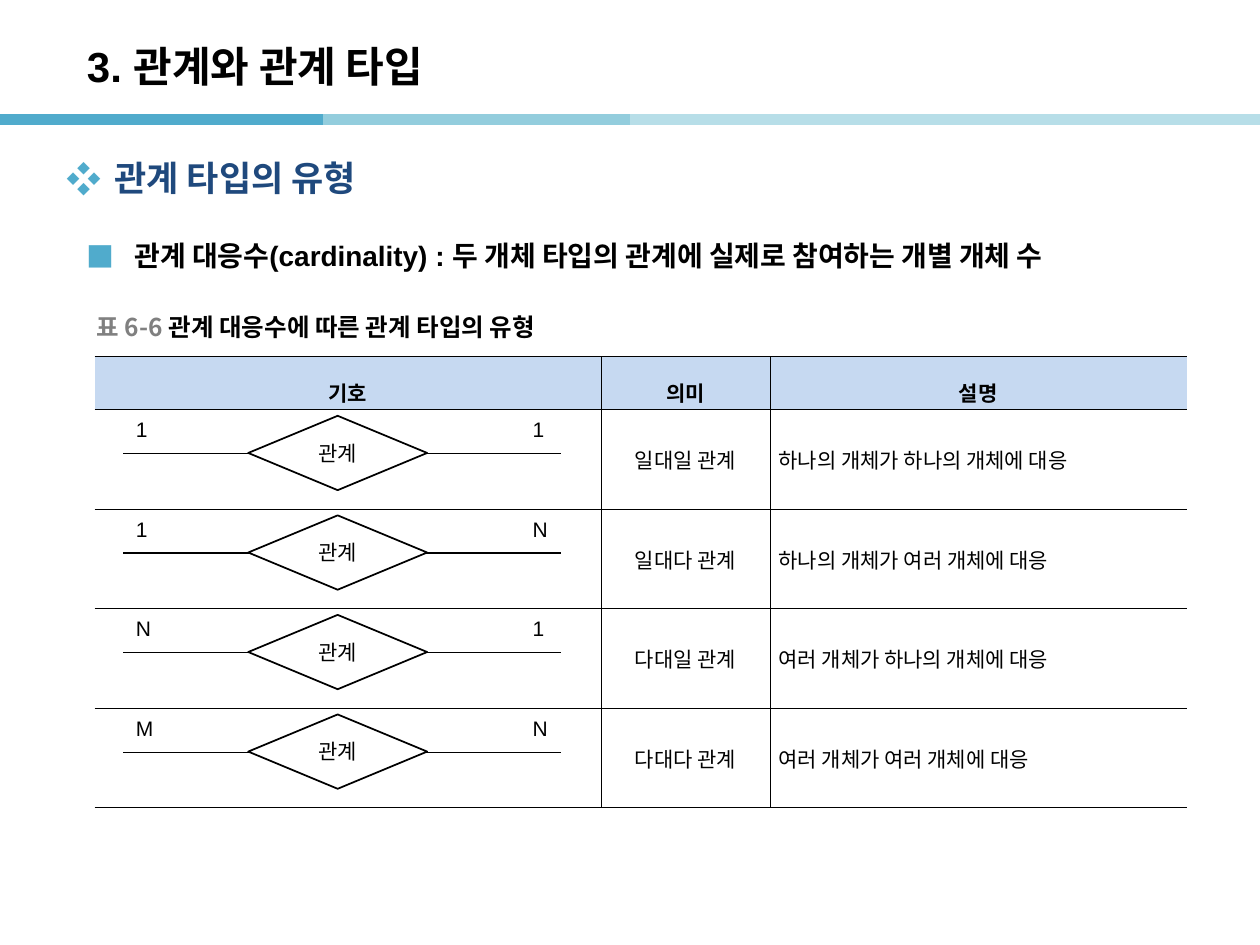
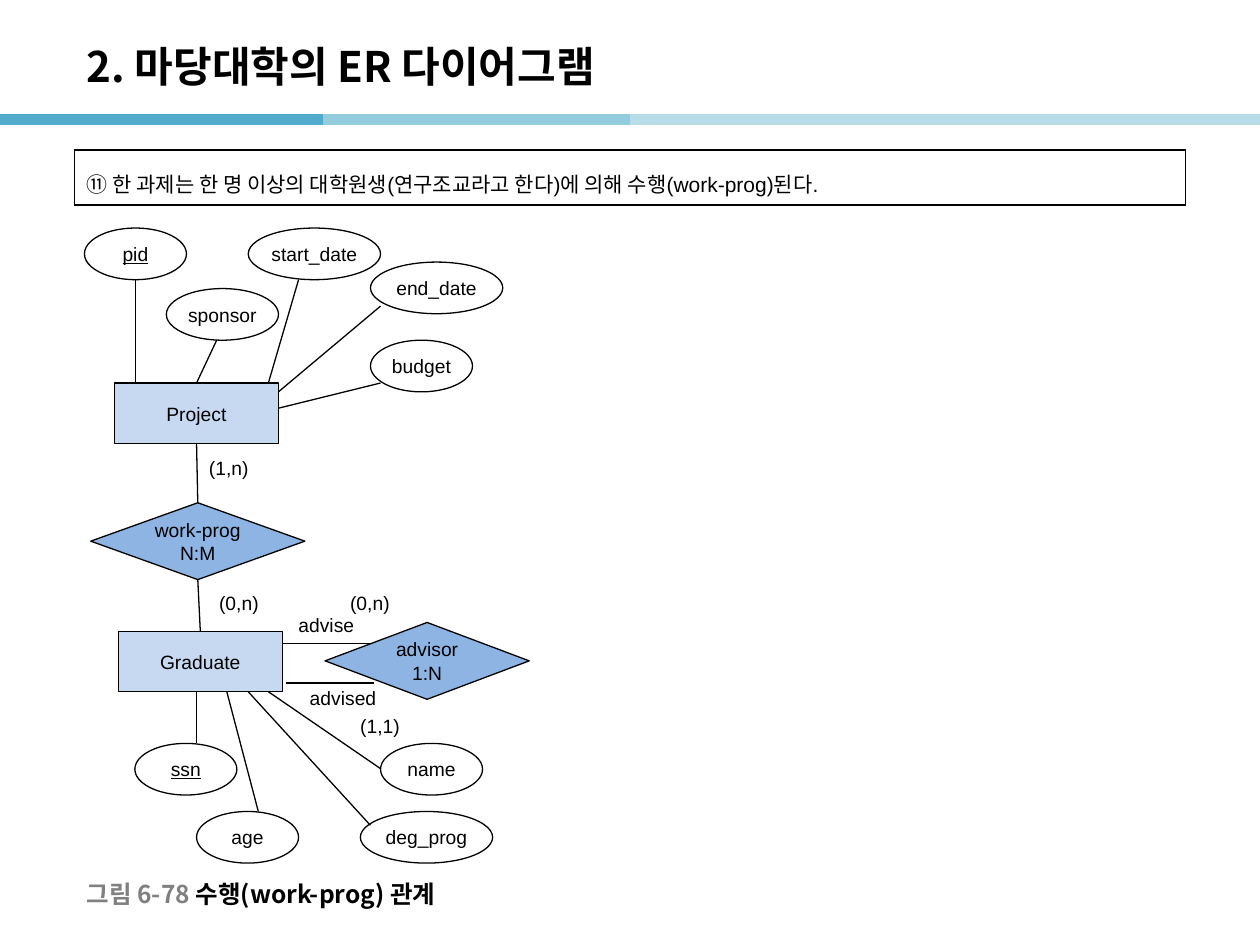
from dataclasses import dataclass

import pptx
import pptx.dml.color
import pptx.enum.shapes
import pptx.enum.text
import pptx.oxml.ns
import pptx.util
from lxml import etree

SHAPE = pptx.enum.shapes.MSO_SHAPE
ALIGN = pptx.enum.text.PP_ALIGN
MIDDLE = pptx.enum.text.MSO_ANCHOR.MIDDLE

# Shared look; the slide is a grid of 100 columns by 75 rows
COLUMNS, ROWS = 100, 75
CELL = pptx.util.Inches(0.1)
LATIN, KOREAN = "Arial", "Noto Sans CJK KR"
BLACK, WHITE, GREY, NAVY = "000000", "FFFFFF", "808080", "1F497D"
ACCENT, PALE, MEDIUM = "50ABCC", "C6D9F1", "8EB4E3"
BANDS = [(0, 25.6, ACCENT), (25.6, 50, "93CDDD"), (50, COLUMNS, "B7DEE8")]


@dataclass
class Box:
    """A region of the grid, in columns and rows."""
    left: float
    top: float
    width: float
    height: float

    def inner(self, left, top, width, height):
        return Box(self.left + left, self.top + top, width, height)

    def lengths(self):
        return [cells(n) for n in (self.left, self.top, self.width, self.height)]


def cells(count):
    return pptx.util.Emu(round(count * CELL))


def colour(value):
    return pptx.dml.color.RGBColor.from_string(value)


def child(parent, tag, **attributes):
    return etree.SubElement(parent, pptx.oxml.ns.qn(tag), attributes)


def style_span(span, size, shade=BLACK, font=LATIN, bold=False, underline=False):
    span.font.size = pptx.util.Pt(size)
    span.font.bold = bold
    if underline:
        span.font.underline = True
    span.font.color.rgb = colour(shade)
    span.font.name = font
    child(span._r.get_or_add_rPr(), "a:ea", typeface=KOREAN)


def write(frame, text, size, align=ALIGN.LEFT, spacing=None, **style):
    frame.text = text
    for para in frame.paragraphs:
        para.alignment = align
        if spacing:
            para.line_spacing = spacing
        for span in para.runs:
            style_span(span, size, **style)


def add_text_box(page, box, text, size, **style):
    frame = page.shapes.add_textbox(*box.lengths()).text_frame
    frame.word_wrap = True
    write(frame, text, size, **style)
    return frame


def add_bullet_line(page, box, text, mark, size, **style):
    frame = add_text_box(page, box, text, size, bold=True, **style)
    properties = frame.paragraphs[0]._p.get_or_add_pPr()
    indent = cells(3.8)
    properties.set("marL", str(indent))
    properties.set("indent", str(-indent))
    child(child(properties, "a:buClr"), "a:srgbClr", val=ACCENT)
    child(properties, "a:buFont", typeface=KOREAN)
    child(properties, "a:buChar", char=mark)


def add_caption(page, box, number, text):
    frame = add_text_box(page, box, number + " ", 14, shade=GREY, font=KOREAN, bold=True)
    frame.vertical_anchor = MIDDLE
    span = frame.paragraphs[0].add_run()
    span.text = text
    style_span(span, 14, font=KOREAN, bold=True)


def add_line(page, box, start, end, shade=BLACK, weight=0.75):
    ends = [cells(n) for n in (box.left + start[0], box.top + start[1],
                               box.left + end[0], box.top + end[1])]
    line = page.shapes.add_connector(pptx.enum.shapes.MSO_CONNECTOR.STRAIGHT, *ends)
    line.line.color.rgb = colour(shade)
    line.line.width = pptx.util.Pt(weight)
    child(line._element.spPr, "a:effectLst")


def add_node(page, box, kind, text, size, fill=WHITE, weight=0.75, **style):
    node = page.shapes.add_shape(kind, *box.lengths())
    node.shadow.inherit = False
    node.fill.solid()
    node.fill.fore_color.rgb = colour(fill)
    node.line.color.rgb = colour(BLACK)
    node.line.width = pptx.util.Pt(weight)
    node.text_frame.word_wrap = False
    node.text_frame.vertical_anchor = MIDDLE
    write(node.text_frame, text, size, align=ALIGN.CENTER, **style)


def add_table(page, box, widths, heights):
    table = page.shapes.add_table(len(heights), len(widths), *box.lengths()).table
    table.first_row = table.horz_banding = False
    for column, width in zip(table.columns, widths):
        column.width = cells(width)
    for row, height in zip(table.rows, heights):
        row.height = cells(height)
    return table


def style_cell(cell, fill, sides, weight):
    properties = cell._tc.get_or_add_tcPr()
    for side in "LRTB":
        edge = child(properties, "a:ln" + side, w=str(pptx.util.Pt(weight)))
        if side in sides:
            child(child(edge, "a:solidFill"), "a:srgbClr", val=BLACK)
        else:
            child(edge, "a:noFill")
    cell.fill.solid()
    cell.fill.fore_color.rgb = colour(fill)
    cell.vertical_anchor = MIDDLE


def add_page(deck, title, font):
    """Title-only page with the coloured band under its title."""
    page = deck.slides.add_slide(deck.slide_layouts[5])
    for start, end, shade in BANDS:
        add_line(page, Box(0, 9.5, COLUMNS, 0), (start, 0), (end, 0), shade, 6)
    holder = page.shapes.title
    holder.left, holder.top, holder.width, holder.height = Box(5.9, 2.2, 82.7, 6).lengths()
    holder.text_frame.auto_size = pptx.enum.text.MSO_AUTO_SIZE.NONE
    holder.text_frame.vertical_anchor = MIDDLE
    write(holder.text_frame, title, 24, font=font, bold=True)
    return page


# Slide 1: relationship types by cardinality
RELATION_TYPES = [
    ("1", "1", "일대일 관계", "하나의 개체가 하나의 개체에 대응"),
    ("1", "N", "일대다 관계", "하나의 개체가 여러 개체에 대응"),
    ("N", "1", "다대일 관계", "여러 개체가 하나의 개체에 대응"),
    ("M", "N", "다대다 관계", "여러 개체가 여러 개체에 대응"),
]
HEADER_HEIGHT, TYPE_HEIGHT = 4.2, 7.9


def add_type_table(page, box):
    heights = [HEADER_HEIGHT] + [TYPE_HEIGHT] * len(RELATION_TYPES)
    table = add_table(page, box, [40.2, 13.4, 33.1], heights)
    rows = [("기호", "의미", "설명")]
    rows += [("", meaning, note) for _, _, meaning, note in RELATION_TYPES]
    for r, texts in enumerate(rows):
        header = r == 0
        for c, text in enumerate(texts):
            cell = table.cell(r, c)
            style_cell(cell, PALE if header else WHITE, ("RTB", "LRTB", "LTB")[c], 0.28)
            cell.margin_left = cell.margin_right = cells(0.7)
            cell.margin_top = cell.margin_bottom = cells(0.2)
            write(cell.text_frame, text, 12, bold=header,
                  align=ALIGN.CENTER if header or c < 2 else ALIGN.LEFT,
                  spacing=1.6 if header else pptx.util.Pt(18))


def add_relation_symbol(page, box, left_count, right_count):
    """Diamond on a line, with a count at each end."""
    add_line(page, box, (2.3, 3.5), (37, 3.5))
    add_node(page, box.inner(12.2, 0.5, 14.2, 5.9), SHAPE.FLOWCHART_DECISION,
             "관계", 12, weight=1, font=KOREAN)
    for left, count in ((2.3, left_count), (33.8, right_count)):
        add_text_box(page, box.inner(left, 0.1, 3.6, 3), count, 12)


def build_types_page(deck):
    page = add_page(deck, "3. 관계와 관계 타입", LATIN)
    add_bullet_line(page, Box(4.3, 11.9, 88.2, 6.2), "관계 타입의 유형", "❖", 20, shade=NAVY)
    add_bullet_line(page, Box(5.9, 17.1, 88.2, 6),
                    "관계 대응수(cardinality) : 두 개체 타입의 관계에 실제로 참여하는 개별 개체 수",
                    "■", 16, spacing=1.5)
    add_caption(page, Box(6.7, 24.4, 60, 3.1), "표 6-6", "관계 대응수에 따른 관계 타입의 유형")
    table_box = Box(7.5, 28.3, 86.7, HEADER_HEIGHT + TYPE_HEIGHT * len(RELATION_TYPES))
    add_type_table(page, table_box)
    for i, (left_count, right_count, _, _) in enumerate(RELATION_TYPES):
        row_top = HEADER_HEIGHT + i * TYPE_HEIGHT
        add_relation_symbol(page, table_box.inner(0, row_top, 40.2, TYPE_HEIGHT),
                            left_count, right_count)


# Slide 2: ER diagram, offsets in cells from the diagram's corner
ENTITIES = [("Project", 2.4, 12.3), ("Graduate", 2.7, 32)]
RELATIONS = [("work-prog\nN:M", 0.5, 21.8, 17), ("advisor\n1:N", 19.1, 31.3, 16.2)]
KEYS = ("pid", "ssn")
ATTRIBUTES = [
    ("pid", 0, 0, 8.1), ("sponsor", 6.5, 4.8, 8.9), ("start_date", 13, 0, 10.5),
    ("end_date", 22.7, 2.7, 10.5), ("budget", 22.7, 8.9, 8.1), ("ssn", 4, 40.9, 8.1),
    ("age", 8.9, 46.3, 8.1), ("deg_prog", 21.9, 46.3, 10.5), ("name", 23.5, 40.9, 8.1),
]
LINKS = [
    # Project attributes
    ((4.05, 4.1), (4.05, 12.3)), ((10.5, 8.9), (8.9, 12.3)), ((17, 4.1), (14.6, 12.3)),
    ((23.5, 6.2), (15.4, 13)), ((23.5, 12.3), (15.4, 14.3)),
    # Relations
    ((8.9, 17.1), (9, 21.8)), ((9, 27.9), (9.2, 32)),
    ((15.7, 33), (22.7, 33)), ((16, 36.1), (23, 36.1)),
    # Graduate attributes
    ((8.9, 36.8), (8.9, 40.9)), ((11.3, 36.8), (13.8, 46.3)),
    ((13, 36.8), (22.7, 47.4)), ((14.6, 36.8), (23.5, 42.9)),
]
LINK_LABELS = [
    ("(1,n)", 8.9, 17.6), ("(0,n)", 9.7, 28.3), ("(0,n)", 20.1, 28.3),
    ("(1,1)", 20.9, 38.1), ("advise", 16, 30.1), ("advised", 16.9, 35.9),
]


def add_er_diagram(page, box):
    for name, left, top in ENTITIES:
        add_node(page, box.inner(left, top, 13, 4.8), SHAPE.RECTANGLE, name, 11, PALE)
    for name, left, top, width in ATTRIBUTES:
        add_node(page, box.inner(left, top, width, 4.1), SHAPE.OVAL, name, 11,
                 underline=name in KEYS)
    for name, left, top, width in RELATIONS:
        add_node(page, box.inner(left, top, width, 6.1), SHAPE.DIAMOND, name, 11, MEDIUM)
    for start, end in LINKS:
        add_line(page, box, start, end)
    for text, left, top in LINK_LABELS:
        add_text_box(page, box.inner(left, top, 8.1, 2.7), text, 11)


def add_requirement(page, box, text):
    cell = add_table(page, box, [box.width], [box.height]).cell(0, 0)
    style_cell(cell, WHITE, "LRTB", 1)
    write(cell.text_frame, text, 12, spacing=1.4)


def build_diagram_page(deck):
    page = add_page(deck, "2. 마당대학의 ER 다이어그램", KOREAN)
    add_requirement(page, Box(5.9, 11.9, 88.2, 4.1),
                    "⑪ 한 과제는 한 명 이상의 대학원생(연구조교라고 한다)에 의해 수행(work-prog)된다.")
    add_er_diagram(page, Box(6.7, 18.1, 35.3, 50.4))
    add_caption(page, Box(5.9, 69.4, 60, 3.1), "그림 6-78", "수행(work-prog) 관계")


def main():
    deck = pptx.Presentation()
    deck.slide_width, deck.slide_height = cells(COLUMNS), cells(ROWS)
    build_types_page(deck)
    build_diagram_page(deck)
    deck.save("out.pptx")


if __name__ == "__main__":
    main()
